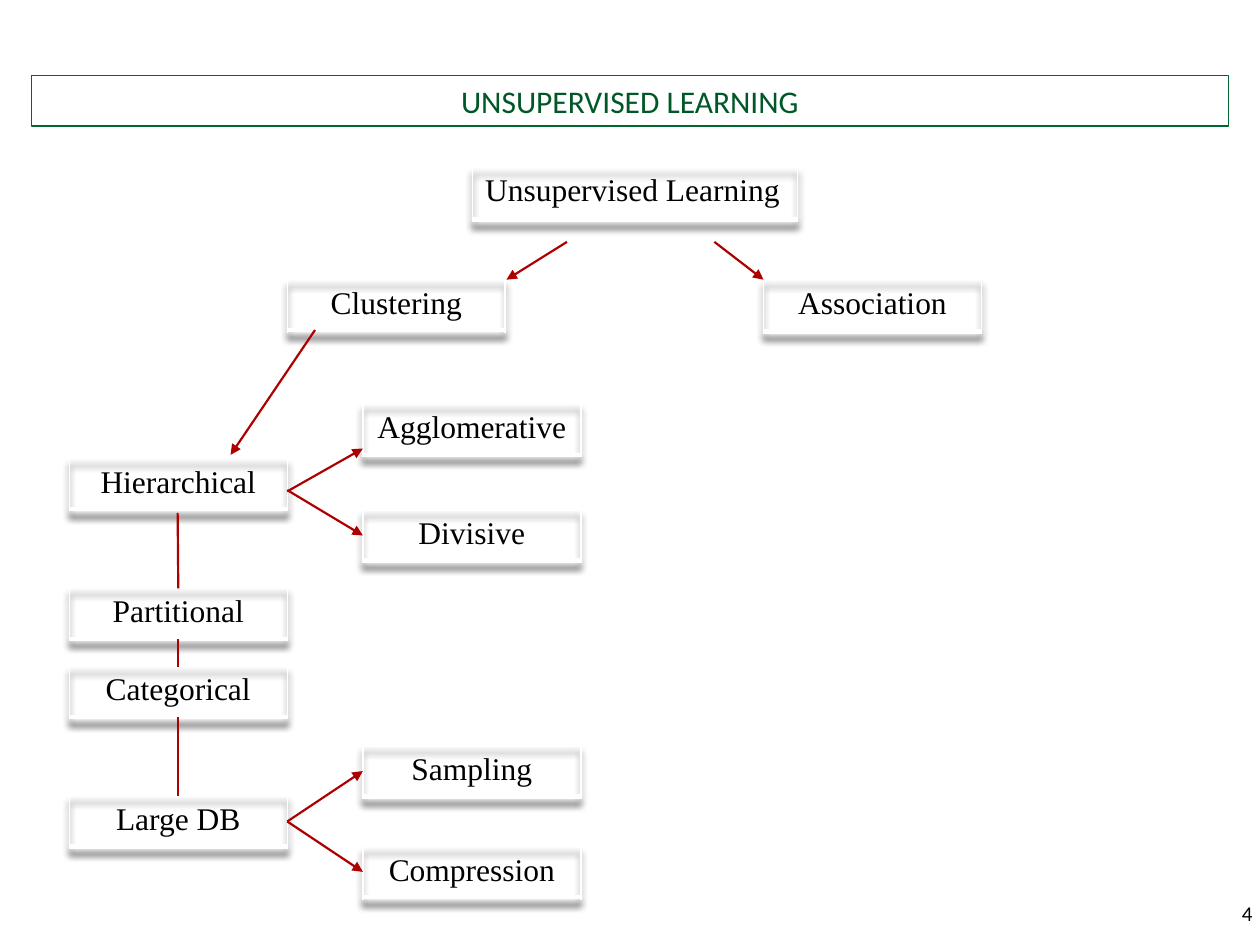
from lxml.etree import SubElement as Sub
from pptx import Presentation
from pptx.dml.color import RGBColor
from pptx.enum.shapes import MSO_CONNECTOR as Conn, MSO_SHAPE as Shape
from pptx.enum.text import MSO_ANCHOR as Anchor, PP_ALIGN as Align
from pptx.oxml.ns import qn
from pptx.util import Inches, Pt

TITLE = "UNSUPERVISED LEARNING"
PAGE = "4"
WIDE, TALL = 1.73, 0.4
ROOT = "Unsupervised Learning"
NODES = [
    (ROOT, 3.75, 1.33, 2.58, 0.41),
    ("Clustering", 2.28, 2.22, WIDE, TALL),
    ("Association", 6.06, 2.22, WIDE, 0.41),
    ("Hierarchical", 0.55, 3.64, WIDE, TALL),
    ("Partitional", 0.55, 4.67, WIDE, TALL),
    ("Categorical", 0.55, 5.29, WIDE, TALL),
    ("Large DB", 0.55, 6.32, WIDE, TALL),
    ("Agglomerative", 2.88, 3.21, WIDE, TALL),
    ("Divisive", 2.88, 4.05, WIDE, TALL),
    ("Sampling", 2.88, 5.92, WIDE, TALL),
    ("Compression", 2.88, 6.72, WIDE, TALL),
]
TOP, LEFT, BOTTOM, RIGHT = range(4)
ARROWS = [
    ((4.5, 1.92), (4.02, 2.22)),
    ((5.67, 1.92), (6.06, 2.22)),
    ((2.5, 2.62), (1.83, 3.61)),
    ((2.28, 3.9), (2.88, 3.56)),
    ((2.28, 3.89), ("Divisive", LEFT)),
    (("Large DB", RIGHT), ("Sampling", LEFT)),
    (("Large DB", RIGHT), ("Compression", LEFT)),
]
LINKS = [
    ((1.41, 4.07), ("Partitional", TOP)),
    (("Partitional", BOTTOM), ("Categorical", TOP)),
    (("Categorical", BOTTOM), ("Large DB", TOP)),
]
EDGES = {"lnL": 1, "lnR": 1, "lnT": 1, "lnB": 3}
WHITE, BLACK, RED = "FFFFFF", "000000", "AD0101"
HEAD = {"name": "Calibri", "size": Pt(18)}
BODY = {"name": "Times New Roman", "size": Pt(18)}
FOOT = {"name": "Calibri", "size": Pt(12)}


def color(code):
    """Turn a hex string into a colour."""
    return RGBColor.from_string(code)


def write(frame, text, font, code, align):
    """Put one styled paragraph in a text frame."""
    par = frame.paragraphs[0]
    par.alignment = align
    run = par.add_run()
    run.text = text
    for key, val in font.items():
        setattr(run.font, key, val)
    run.font.color.rgb = color(code)


def paint(parent, code):
    """Append a solid fill and return its colour element."""
    fill = Sub(parent, qn("a:solidFill"))
    return Sub(fill, qn("a:srgbClr"), val=code)


def shade(table):
    """Give a table a soft shadow below its borders."""
    fx = Sub(table._tbl.tblPr, qn("a:effectLst"))
    drop = Sub(fx, qn("a:outerShdw"), blurRad=str(Pt(4)), dist=str(Pt(4)),
               dir="5400000", rotWithShape="0")
    tint = Sub(drop, qn("a:srgbClr"), val=BLACK)
    Sub(tint, qn("a:alpha"), val="60000")


def add_node(slide, text, *place):
    """Add a one-cell table with white borders."""
    frame = slide.shapes.add_table(1, 1, *map(Inches, place))
    table = frame.table
    table.first_row = table.horz_banding = False
    for old in list(table._tbl.tblPr):
        table._tbl.tblPr.remove(old)
    shade(table)
    cell = table.cell(0, 0)
    align = Align.LEFT if text == ROOT else Align.CENTER
    write(cell.text_frame, text, BODY, BLACK, align)
    props = cell._tc.get_or_add_tcPr()
    for tag, size in EDGES.items():
        paint(Sub(props, qn("a:" + tag), w=str(Pt(size))), WHITE)
    cell.fill.background()
    return frame


def add_line(slide, nodes, start, end, arrow):
    """Draw a line between points or node sides."""
    spots = [(0, 0) if isinstance(e[0], str) else e for e in (start, end)]
    line = slide.shapes.add_connector(
        Conn.STRAIGHT, *(Inches(v) for spot in spots for v in spot))
    for spot, join in ((start, line.begin_connect), (end, line.end_connect)):
        if isinstance(spot[0], str):
            join(nodes[spot[0]], spot[1])
    line.line.color.rgb = color(RED)
    line.line.width = Pt(1.25)
    if arrow:
        Sub(line.line._get_or_add_ln(), qn("a:tailEnd"), type="triangle")
    Sub(line._element.spPr, qn("a:effectLst"))


def main():
    """Build the slide and save it."""
    deck = Presentation()
    deck.slide_width, deck.slide_height = Inches(10), Inches(7.5)
    slide = deck.slides.add_slide(deck.slide_layouts[6])

    page = slide.shapes.add_textbox(*map(Inches, (9.21, 7.1, 0.83, 0.4)))
    page.text_frame.word_wrap = True
    write(page.text_frame, PAGE, FOOT, BLACK, Align.RIGHT)

    bar = slide.shapes.add_shape(
        Shape.RECTANGLE, *map(Inches, (0.25, 0.6, 9.5, 0.4)))
    bar.shadow.inherit = False
    bar.fill.background()
    bar.line.color.rgb = color("00682F")
    bar.line.width = Pt(0.75)
    bar.text_frame.vertical_anchor = Anchor.BOTTOM
    write(bar.text_frame, TITLE, HEAD, "005828", Align.CENTER)

    nodes = {node[0]: add_node(slide, *node) for node in NODES}
    for group, arrow in ((ARROWS, True), (LINKS, False)):
        for start, end in group:
            add_line(slide, nodes, start, end, arrow)
    deck.save("out.pptx")


if __name__ == "__main__":
    main()
